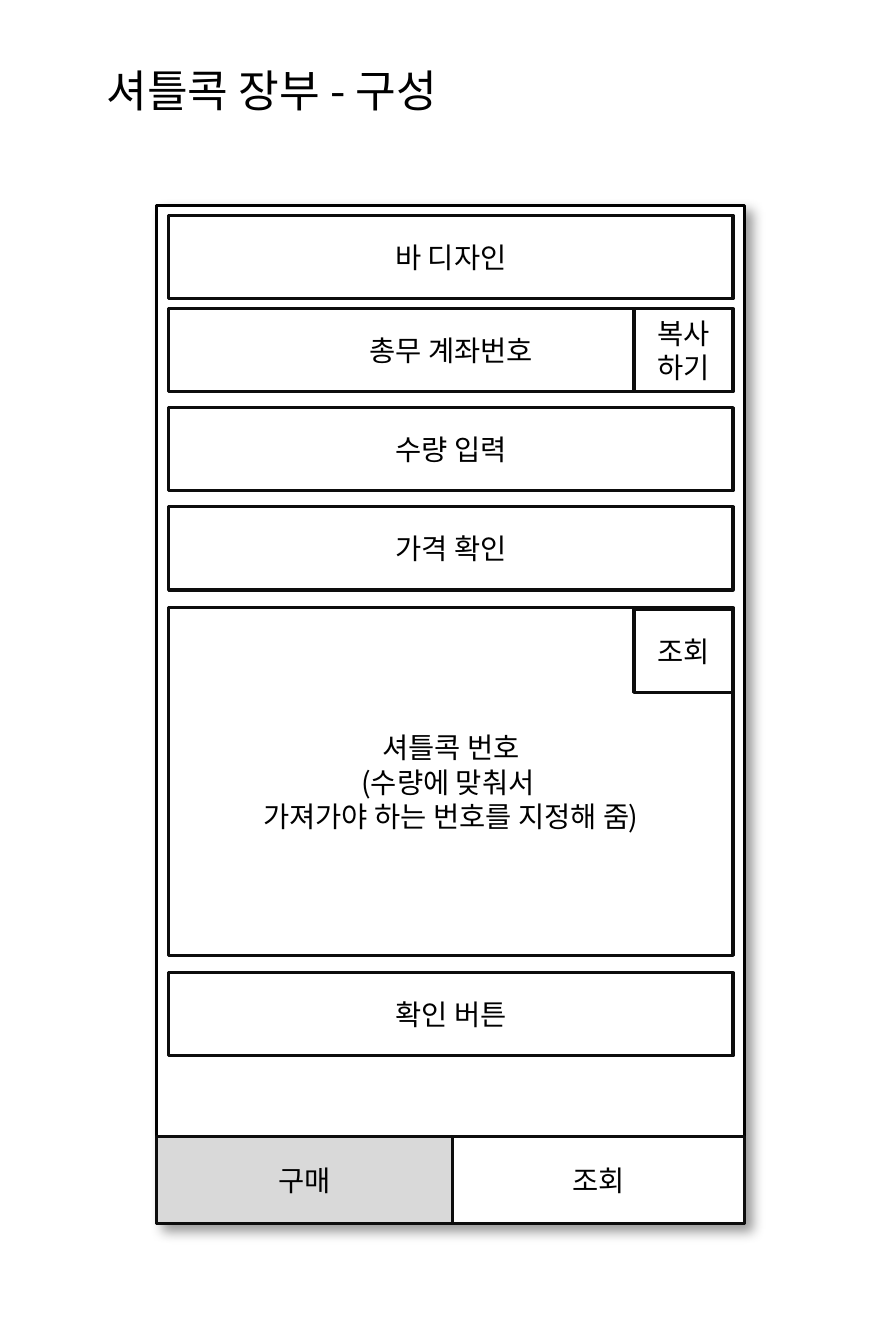
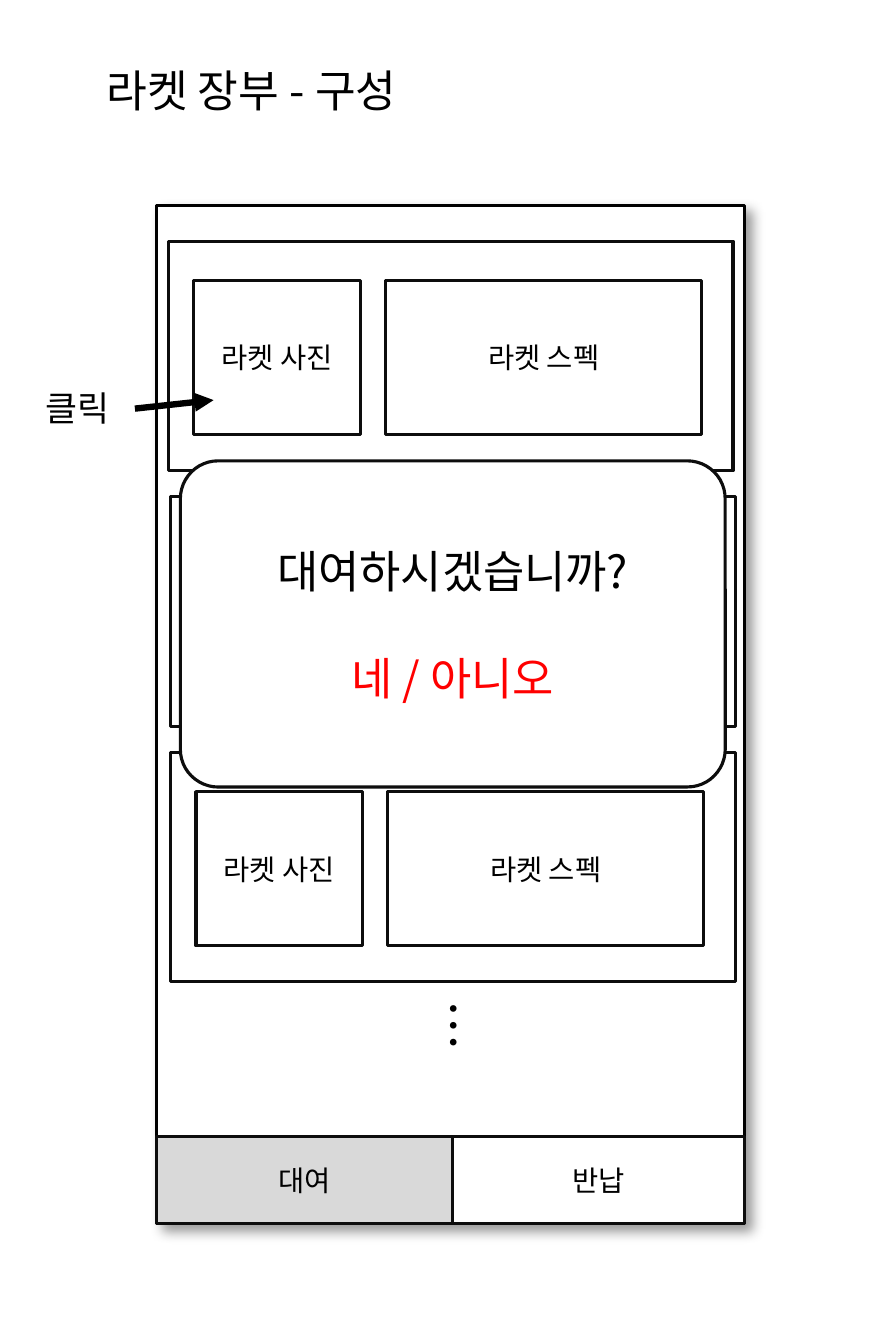
from dataclasses import dataclass

from lxml.etree import SubElement as Sub
from pptx import Presentation
from pptx.dml.color import RGBColor as Rgb
from pptx.enum.shapes import MSO_CONNECTOR as Link, MSO_SHAPE as Kind
from pptx.enum.text import MSO_ANCHOR as Anchor, MSO_AUTO_SIZE as Fit, PP_ALIGN as Align
from pptx.oxml.ns import qn
from pptx.shapes.autoshape import Shape
from pptx.shapes.shapetree import GroupShapes, SlideShapes
from pptx.text.text import TextFrame as Frame
from pptx.util import Pt

Tree = SlideShapes | GroupShapes


@dataclass(frozen=True)
class Theme:
    font: str = "Noto Sans CJK KR"
    black: str = "000000"
    edge: str = "0D0D0D"
    white: str = "FFFFFF"
    gray: str = "D9D9D9"
    red: str = "FF0000"
    title: float = 14
    body: float = 9
    click: float = 11
    dots: float = 16
    ask: float = 14.2
    line: float = 1
    arrow: float = 2
    inset: float = 5


@dataclass(frozen=True)
class Box:
    left: float
    top: float
    width: float
    height: float
    text: str = ""
    fill: str = Theme.white
    edge: str = Theme.edge
    size: float = Theme.body
    kind: Kind = Kind.RECTANGLE


@dataclass(frozen=True)
class Note:
    left: float
    top: float
    width: float
    height: float
    text: str
    size: float
    turn: float = 0


LEFT, WIDE, ROW = 53.35, 178.6, 26.3
SIDE = 31.3
SIDE_X = LEFT + WIDE - SIDE
SCREEN = Box(49.6, 65, 186, 322.2, edge=Theme.black)
TAB_Y, TAB_H, TAB_W = 359.6, 27.6, 93.7
CARD_Y, CARD_H, CARD_STEP = 76.3, 72.6, 80.9


def style(frame: Frame, size: float) -> None:
    for para in frame.paragraphs:
        for run in para.runs:
            run.font.name = Theme.font
            run.font.size = Pt(size)
            run.font.color.rgb = Rgb.from_string(Theme.black)
            Sub(run.font._element, qn("a:ea"), typeface=Theme.font)


def draw_box(tree: Tree, box: Box) -> Shape:
    shape = tree.add_shape(box.kind, Pt(box.left), Pt(box.top), Pt(box.width), Pt(box.height))
    shape.shadow.inherit = False
    shape.fill.solid()
    shape.fill.fore_color.rgb = Rgb.from_string(box.fill)
    shape.line.color.rgb = Rgb.from_string(box.edge)
    shape.line.width = Pt(Theme.line)
    if box.text:
        frame = shape.text_frame
        frame.text = box.text
        frame.word_wrap = True
        frame.vertical_anchor = Anchor.MIDDLE
        frame.margin_left = frame.margin_right = Pt(Theme.inset)
        for para in frame.paragraphs:
            para.alignment = Align.CENTER
        style(frame, box.size)
    return shape


def draw_group(tree: SlideShapes, boxes: list[Box]) -> None:
    group = tree.add_group_shape()
    for box in boxes:
        draw_box(group.shapes, box)


def draw_note(tree: Tree, note: Note) -> None:
    shape = tree.add_textbox(Pt(note.left), Pt(note.top), Pt(note.width), Pt(note.height))
    shape.rotation = note.turn
    frame = shape.text_frame
    frame.text = note.text
    frame.word_wrap = False
    frame.auto_size = Fit.SHAPE_TO_FIT_TEXT
    style(frame, note.size)


def add_shade(shape: Shape) -> None:
    """Give the shape a soft shadow to the lower right."""
    list_ = shape._element.spPr.find(qn("a:effectLst"))
    shade = Sub(list_, qn("a:outerShdw"), blurRad=str(Pt(4)), dist=str(Pt(3)),
                dir=str(45 * 60000), algn="tl", rotWithShape="0")
    color = Sub(shade, qn("a:srgbClr"), val=Theme.black)
    Sub(color, qn("a:alpha"), val="40000")


def draw_arrow(tree: Tree, start: tuple[float, float], end: tuple[float, float]) -> None:
    arrow = tree.add_connector(Link.STRAIGHT, *map(Pt, start + end))
    arrow.line.color.rgb = Rgb.from_string(Theme.black)
    arrow.line.width = Pt(Theme.arrow)
    Sub(arrow.line._get_or_add_ln(), qn("a:tailEnd"), type="triangle")
    Sub(arrow._element.spPr, qn("a:effectLst"))


def add_page(deck: Presentation, title: str, width: float, tabs: tuple[str, str]) -> SlideShapes:
    """Add a slide with its title, the phone screen and the two tabs."""
    tree = deck.slides.add_slide(deck.slide_layouts[6]).shapes
    draw_note(tree, Note(26.6, 16.6, width, 24.5, title, Theme.title))
    add_shade(draw_box(tree, SCREEN))
    left, right = tabs
    draw_box(tree, Box(SCREEN.left, TAB_Y, SCREEN.width, TAB_H))
    draw_box(tree, Box(SCREEN.left, TAB_Y, TAB_W, TAB_H, left, Theme.gray))
    draw_box(tree, Box(SCREEN.left + TAB_W, TAB_Y, SCREEN.width - TAB_W, TAB_H, right))
    return tree


def card(left: float, index: int, full: bool = True) -> list[Box]:
    top = CARD_Y + index * CARD_STEP
    boxes = [Box(left, top, WIDE, CARD_H)]
    if full:
        boxes += [Box(left + 8, top + 12.4, 52.7, 48.8, "라켓 사진"),
                  Box(left + 68.6, top + 12.4, 100.1, 48.8, "라켓 스펙")]
    return boxes


def draw_ask(tree: Tree) -> None:
    """Draw the pop-up that asks whether to rent."""
    ask = draw_box(tree, Box(57.1, 145.8, 172.4, 103.2, "대여하시겠습니까?\n네 / 아니오",
                             size=Theme.ask, kind=Kind.ROUNDED_RECTANGLE))
    ask.adjustments[0] = 0.116
    reply = ask.text_frame.paragraphs[1]
    reply.space_before = Pt(17)
    reply.runs[0].font.color.rgb = Rgb.from_string(Theme.red)


def build_shuttle(deck: Presentation) -> None:
    tree = add_page(deck, "셔틀콕 장부 - 구성", 129.6, ("구매", "조회"))
    draw_group(tree, [Box(LEFT, 97.7, WIDE, ROW, "총무 계좌번호"),
                      Box(SIDE_X, 97.7, SIDE, ROW, "복사하기")])
    rows = [(68.2, ROW, "바 디자인"), (129, ROW, "수량 입력"), (160.4, ROW, "가격 확인"),
            (192.3, 110, "셔틀콕 번호\n(수량에 맞춰서 \n가져가야 하는 번호를 지정해 줌)"),
            (307.8, ROW, "확인 버튼")]
    for top, height, text in rows:
        draw_box(tree, Box(LEFT, top, WIDE, height, text))
    draw_box(tree, Box(SIDE_X, 192.8, SIDE, ROW, "조회"))


def build_racket(deck: Presentation) -> None:
    tree = add_page(deck, "라켓 장부 - 구성", 115.9, ("대여", "반납"))
    draw_group(tree, card(LEFT, 0))
    draw_group(tree, card(54, 1, full=False))
    draw_group(tree, card(54, 2))
    draw_note(tree, Note(128.2, 311.8, 31, 26.6, "…", Theme.dots, turn=90))
    draw_arrow(tree, (42.7, 129.3), (67.6, 126.6))
    draw_note(tree, Note(7.2, 118.8, 36, 20.9, "클릭", Theme.click))
    draw_ask(tree)


def main() -> None:
    deck = Presentation()
    deck.slide_width, deck.slide_height = Pt(283.5), Pt(425.25)
    build_shuttle(deck)
    build_racket(deck)
    deck.save("out.pptx")


if __name__ == "__main__":
    main()
